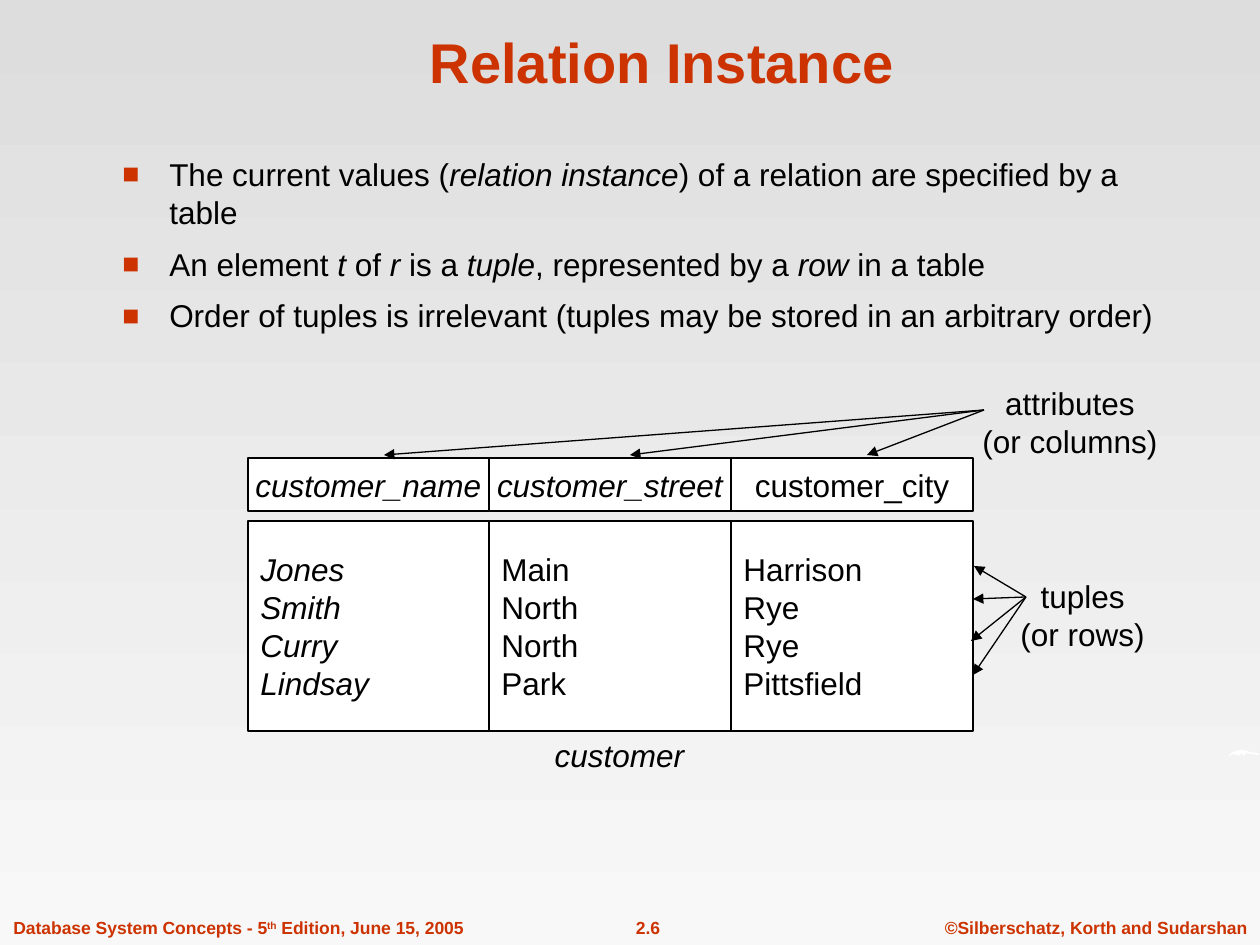
import dataclasses

import pptx
import pptx.dml.color
import pptx.enum.shapes
import pptx.enum.text
import pptx.oxml.ns
import pptx.util
from lxml import etree

SCALE = 914400 / 126
ALIGN = pptx.enum.text.PP_ALIGN
ANCHOR = pptx.enum.text.MSO_ANCHOR


@dataclasses.dataclass(frozen=True)
class Theme:
    font: str = "Arial"
    accent: str = "CC3300"
    ink: str = "000000"
    paper: str = "FFFFFF"
    sky_top: str = "DDDDDD"
    sky_bottom: str = "F8F8F8"
    title_size: int = 32
    body_size: int = 18
    footer_size: int = 10
    line_width: float = 0.75
    bullet_gap: float = 7.9


THEME = Theme()


def emu(px):
    return pptx.util.Emu(round(px * SCALE))


def rgb(code):
    return pptx.dml.color.RGBColor.from_string(code)


def add_xml(parent, tag, **attributes):
    return etree.SubElement(parent, pptx.oxml.ns.qn(tag), attributes)


def add_run(paragraph, text, size=THEME.body_size, color=THEME.ink,
            bold=False, italic=False):
    run = paragraph.add_run()
    run.text = text
    run.font.name = THEME.font
    run.font.size = pptx.util.Pt(size)
    run.font.color.rgb = rgb(color)
    run.font.bold = bold
    run.font.italic = italic
    return run


def write_lines(frame, lines, align=ALIGN.CENTER, **style):
    for index, line in enumerate(lines):
        paragraph = frame.paragraphs[0] if index == 0 else frame.add_paragraph()
        paragraph.alignment = align
        add_run(paragraph, line, **style)


def add_text_frame(slide, box, wrap=False, anchor=ANCHOR.TOP):
    frame = slide.shapes.add_textbox(*map(emu, box)).text_frame
    frame.word_wrap = wrap
    frame.vertical_anchor = anchor
    if not wrap:
        frame.auto_size = pptx.enum.text.MSO_AUTO_SIZE.SHAPE_TO_FIT_TEXT
    return frame


def paint_background(slide):
    fill = slide.background.fill
    fill.gradient()
    fill.gradient_angle = 270
    for stop, color in zip(fill.gradient_stops, (THEME.sky_top, THEME.sky_bottom)):
        stop.color.rgb = rgb(color)


def add_footer(slide, box):
    left, top, width, height = box
    style = dict(size=THEME.footer_size, color=THEME.accent, bold=True)
    copyright_width, number_width = 328, 124
    owner = add_text_frame(slide, (left + width - copyright_width, top,
                                   copyright_width, height))
    write_lines(owner, ["©Silberschatz, Korth and Sudarshan"], **style)
    number = add_text_frame(slide, (left + 585, top, number_width, height))
    write_lines(number, ["2.6"], **style)
    edition = add_text_frame(slide, (left, top, 480, height)).paragraphs[0]
    add_run(edition, "Database System Concepts - 5", **style)
    ordinal = add_run(edition, "th", **style)
    ordinal.font._element.set("baseline", "30000")
    add_run(edition, " Edition, June 15, 2005", **style)


def add_brush_mark(slide, box):
    left, top, _, _ = box
    outline = [(0, 7), (2, 4), (5, 2), (11, 0), (16, 0), (22, 2), (28, 3),
               (32, 4), (30, 5), (24, 4), (18, 3), (16, 6), (13, 3), (12, 6),
               (9, 3), (10, 6), (6, 4), (3, 5)]
    points = [(emu(left + x), emu(top + y)) for x, y in outline]
    builder = slide.shapes.build_freeform(*points[0])
    builder.add_line_segments(points[1:], close=True)
    mark = builder.convert_to_shape()
    mark.shadow.inherit = False
    mark.fill.solid()
    mark.fill.fore_color.rgb = rgb(THEME.paper)
    mark.line.fill.background()


def add_title(slide, box):
    frame = add_text_frame(slide, box, wrap=True, anchor=ANCHOR.BOTTOM)
    write_lines(frame, ["Relation Instance"], size=THEME.title_size,
                color=THEME.accent, bold=True)


def add_bullets(slide, box, items):
    """Each item is a list of pieces that alternate upright and italic."""
    frame = add_text_frame(slide, box, wrap=True)
    indent = emu(47)
    for index, pieces in enumerate(items):
        paragraph = frame.paragraphs[0] if index == 0 else frame.add_paragraph()
        if index:
            paragraph.space_before = pptx.util.Pt(THEME.bullet_gap)
        properties = paragraph._p.get_or_add_pPr()
        properties.set("marL", str(indent))
        properties.set("indent", str(-indent))
        add_xml(add_xml(properties, "a:buClr"), "a:srgbClr", val=THEME.accent)
        add_xml(properties, "a:buSzPct", val="90000")
        add_xml(properties, "a:buFont", typeface=THEME.font)
        add_xml(properties, "a:buChar", char="■")
        for position, piece in enumerate(pieces):
            add_run(paragraph, piece, italic=position % 2 == 1)


def add_cell(slide, box, lines, align, italic):
    cell = slide.shapes.add_shape(
        pptx.enum.shapes.MSO_SHAPE.RECTANGLE, *map(emu, box))
    cell.shadow.inherit = False
    cell.fill.solid()
    cell.fill.fore_color.rgb = rgb(THEME.paper)
    cell.line.color.rgb = rgb(THEME.ink)
    cell.line.width = pptx.util.Pt(THEME.line_width)
    cell.text_frame.word_wrap = False
    cell.text_frame.vertical_anchor = ANCHOR.MIDDLE
    write_lines(cell.text_frame, lines, align, italic=italic)


def add_relation(slide, box, columns, caption):
    """Draw a header strip, the tuples below it, and the relation's name."""
    left, top, width, height = box
    header_height, gap = 53, 10
    body_top = top + header_height + gap
    edges = [left + width * i // len(columns) for i in range(len(columns) + 1)]
    for start, end, column in zip(edges, edges[1:], columns):
        heading, heading_italic, values, values_italic = column
        add_cell(slide, (start, body_top, end - start, top + height - body_top),
                 values, ALIGN.LEFT, values_italic)
        add_cell(slide, (start, top, end - start, header_height),
                 [heading], ALIGN.CENTER, heading_italic)
    name = add_text_frame(slide, (left + 294, top + height - 1, 155, 50),
                          anchor=ANCHOR.MIDDLE)
    write_lines(name, [caption], italic=True)


def add_arrow(slide, start, end):
    arrow = slide.shapes.add_connector(
        pptx.enum.shapes.MSO_CONNECTOR.STRAIGHT, *map(emu, (*start, *end)))
    arrow.line.color.rgb = rgb(THEME.ink)
    arrow.line.width = pptx.util.Pt(THEME.line_width)
    add_xml(arrow.line._get_or_add_ln(), "a:tailEnd", type="triangle")
    add_xml(arrow._element.spPr, "a:effectLst")


def add_callout(slide, box, lines, origin, tips):
    """Place a label whose arrows fan out from origin, both relative to box."""
    left, top, _, _ = box
    write_lines(add_text_frame(slide, box), lines)
    start = left + origin[0], top + origin[1]
    for x, y in tips:
        add_arrow(slide, start, (left + x, top + y))


def add_relation_slide(deck):
    slide = deck.slides.add_slide(deck.slide_layouts[6])
    paint_background(slide)
    add_footer(slide, (1, 911, 1259, 34))
    add_brush_mark(slide, (1228, 750, 32, 7))
    add_title(slide, (106, 16, 1112, 85))
    add_bullets(slide, (110, 149, 1056, 272), [
        ["The current values (", "relation instance",
         ") of a relation are specified by a table"],
        ["An element ", "t", " of ", "r", " is a ", "tuple",
         ", represented by a ", "row ", "in a table"],
        ["Order of tuples is irrelevant (tuples may be stored in an arbitrary order)"],
    ])
    add_relation(slide, (248, 458, 725, 273), [
        ("customer_name", True, ["Jones", "Smith", "Curry", "Lindsay"], True),
        ("customer_street", True, ["Main", "North", "North", "Park"], False),
        ("customer_city", False, ["Harrison", "Rye", "Rye", "Pittsfield"], False),
    ], "customer")
    add_callout(slide, (970, 378, 200, 88), ["attributes", "(or columns)"],
                (14, 32), [(x, 77) for x in (-586, -340, -103)])
    add_callout(slide, (1008, 571, 149, 88), ["tuples", "(or rows)"],
                (18, 26), [(-34, -5), (-35, 28), (-37, 70), (-35, 104)])


def main():
    deck = pptx.Presentation()
    deck.slide_width, deck.slide_height = emu(1260), emu(945)
    add_relation_slide(deck)
    deck.save("out.pptx")


if __name__ == "__main__":
    main()
